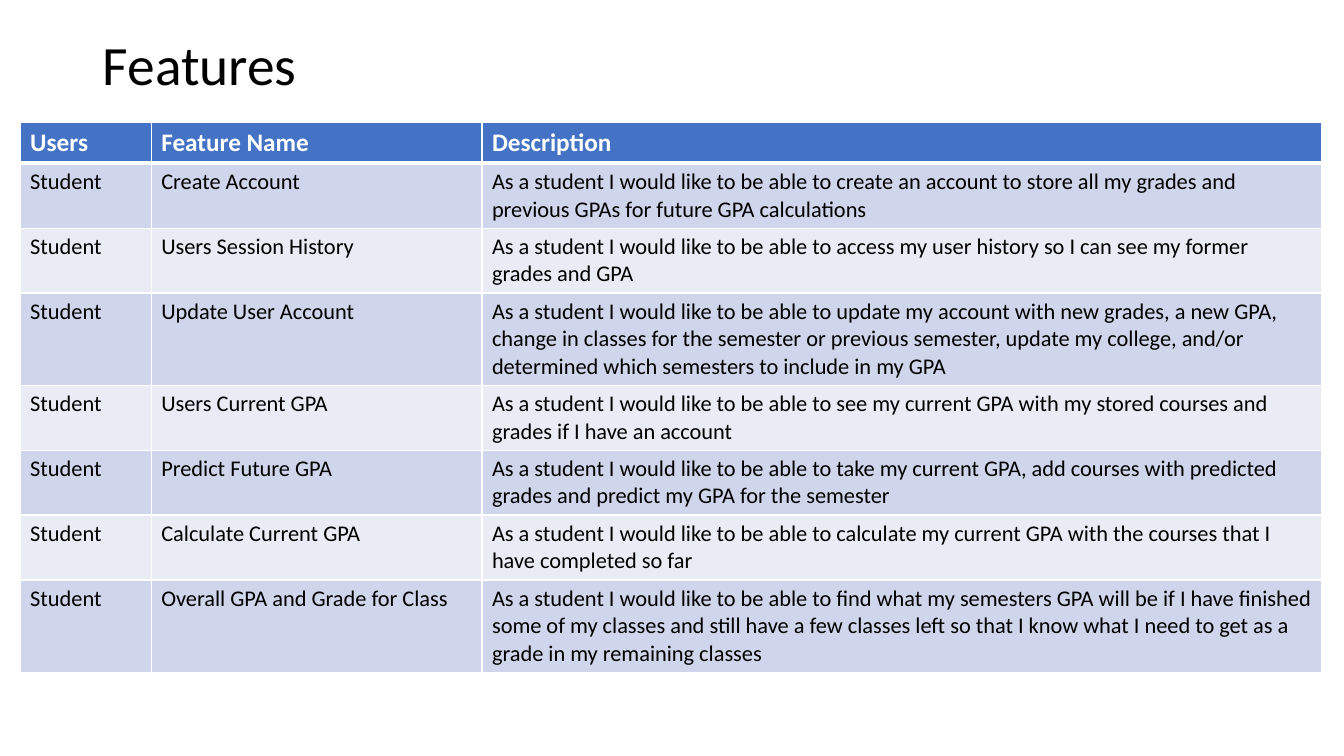
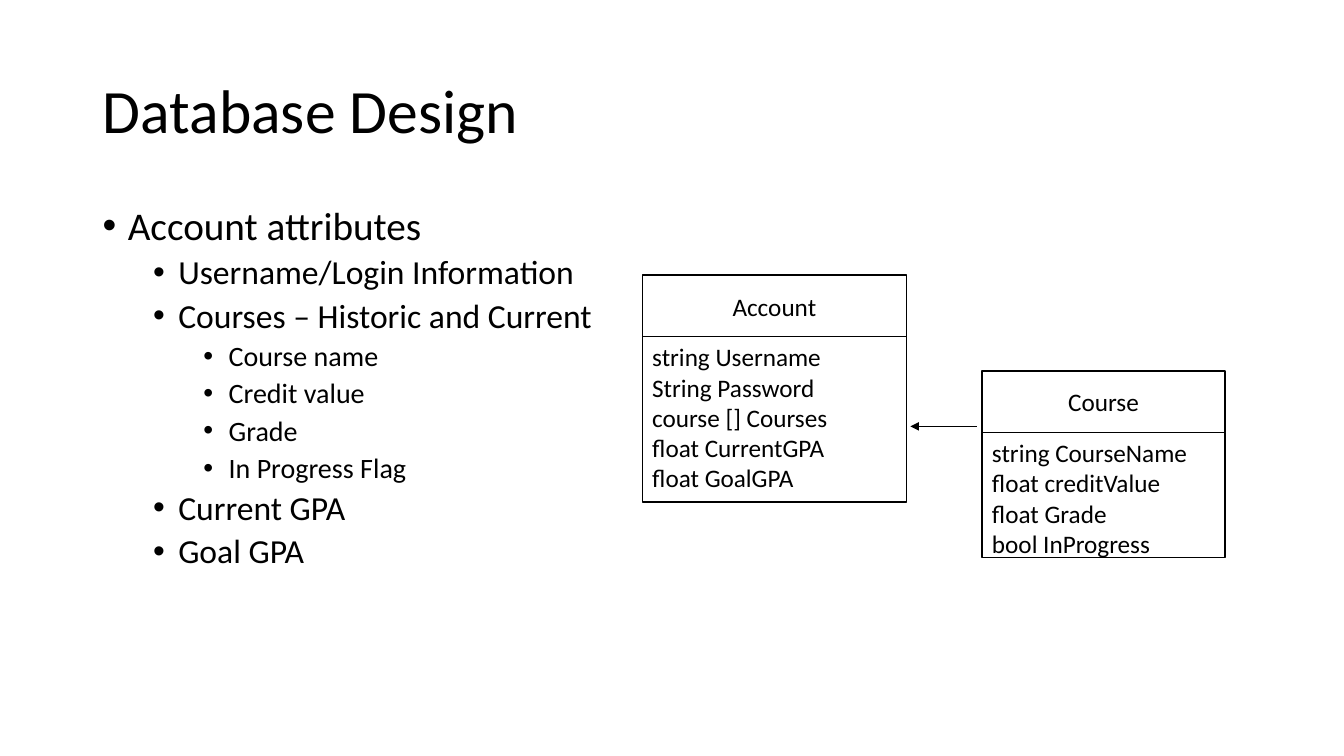
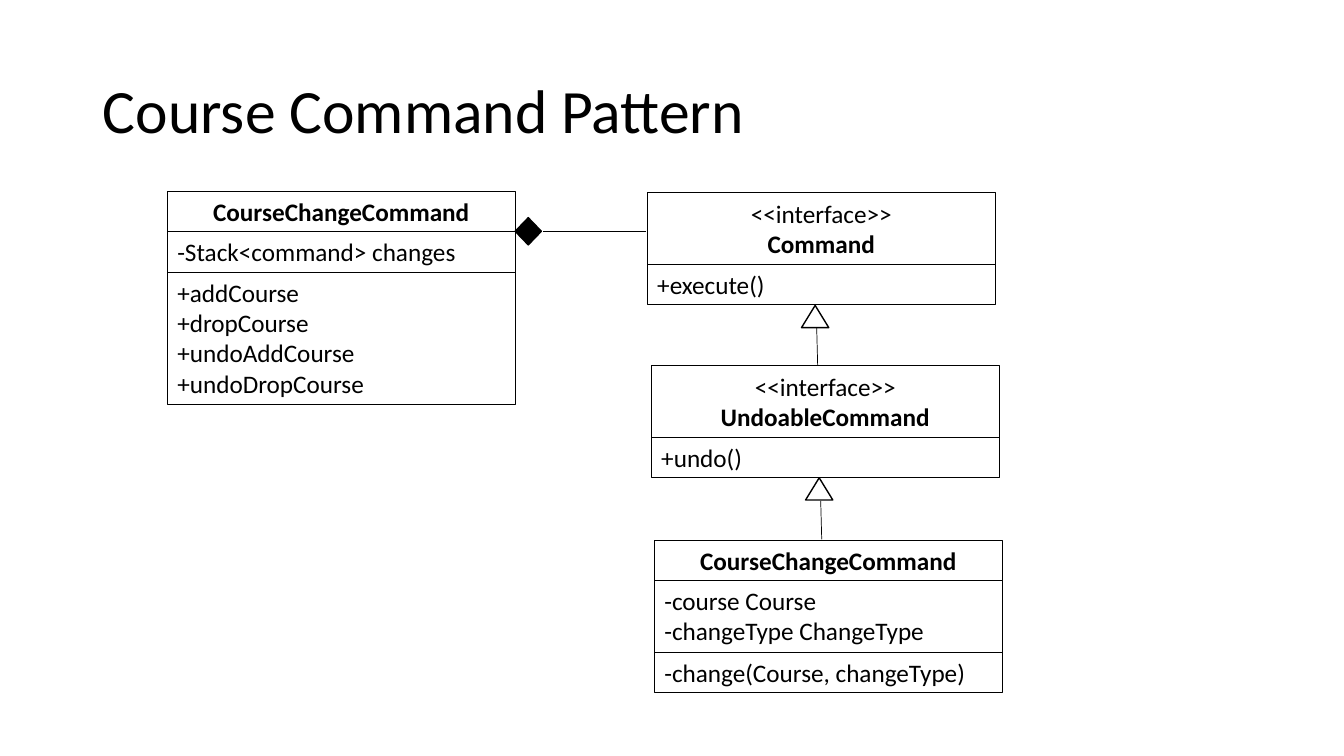
from lxml import etree
from pptx import Presentation
from pptx.dml.color import RGBColor
from pptx.enum.shapes import MSO_CONNECTOR, MSO_SHAPE
from pptx.enum.text import MSO_ANCHOR, MSO_AUTO_SIZE, PP_ALIGN
from pptx.oxml.ns import qn
from pptx.util import Pt

PX = 9144
FONT = "Calibri"
RECT = MSO_SHAPE.RECTANGLE
TRIANGLE = MSO_SHAPE.ISOSCELES_TRIANGLE
DIAMOND = MSO_SHAPE.DIAMOND
STRAIGHT = MSO_CONNECTOR.STRAIGHT
LEFT, CENTER = PP_ALIGN.LEFT, PP_ALIGN.CENTER
TOP, MIDDLE = MSO_ANCHOR.TOP, MSO_ANCHOR.MIDDLE
HEX = {"ink": "000000", "paper": "FFFFFF", "head": "4472C4", "odd": "CFD5EA", "even": "E9EBF5"}
COLOR = {name: RGBColor.from_string(code) for name, code in HEX.items()}


def add_class(slide, left, top, width, weight, parts, bold=False):
    for row, (height, lines) in enumerate(parts):
        box = slide.shapes.add_shape(RECT, left * PX, top * PX, width * PX, height * PX)
        box.shadow.inherit = False
        box.fill.background()
        box.line.color.rgb = COLOR["ink"]
        box.line.width = Pt(weight)
        frame = box.text_frame
        frame.word_wrap = True
        frame.vertical_anchor = TOP if row else MIDDLE
        for at, text in enumerate(lines):
            para = frame.add_paragraph() if at else frame.paragraphs[0]
            para.text = text
            para.alignment = LEFT if row else CENTER
            para.font.name = FONT
            para.font.size = Pt(18)
            para.font.color.rgb = COLOR["ink"]
            para.font.bold = bold and row == 0 and at == len(lines) - 1
        top += height


def add_line(slide, x1, y1, x2, y2, arrow=False):
    line = slide.shapes.add_connector(STRAIGHT, x1 * PX, y1 * PX, x2 * PX, y2 * PX)
    line.line.color.rgb = COLOR["ink"]
    line.line.width = Pt(0.5)
    if arrow:
        etree.SubElement(line.line._get_or_add_ln(), qn("a:tailEnd"), type="triangle")
    etree.SubElement(line._element.spPr, qn("a:effectLst"))


deck = Presentation()
deck.slide_width = 1333 * PX
deck.slide_height = 750 * PX

slides = []
for name, height, size in [
    ("Features", 54, 39.6),
    ("Database Design", 145, 44),
    ("Course Command Pattern", 145, 44),
]:
    slide = deck.slides.add_slide(deck.slide_layouts[5])
    title = slide.shapes.title
    title.left, title.top, title.width, title.height = 92 * PX, 40 * PX, 1150 * PX, height * PX
    frame = title.text_frame
    frame.text = name
    frame.auto_size = MSO_AUTO_SIZE.NONE
    frame.vertical_anchor = MIDDLE
    para = frame.paragraphs[0]
    para.alignment = LEFT
    para.line_spacing = 0.9
    para.font.name = FONT
    para.font.size = Pt(size)
    para.font.color.rgb = COLOR["ink"]
    slides.append(slide)
features, database, pattern = slides

wish = "As a student I would like to be able to "
rows = [("Users", "Feature Name", "Description")]
for name, goal in [
    ("Create Account", "create an account to store all my grades and previous GPAs for future GPA calculations"),
    ("Users Session History", "access my user history so I can see my former grades and GPA"),
    ("Update User Account", "update my account with new grades, a new GPA, change in classes for the semester "
     "or previous semester, update my college, and/or determined which semesters to include in my GPA"),
    ("Users Current GPA", "see my current GPA with my stored courses and grades if I have an account"),
    ("Predict Future GPA", "take my current GPA, add courses with predicted grades and predict my GPA "
     "for the semester"),
    ("Calculate Current GPA", "calculate my current GPA with the courses that I have completed so far"),
    ("Overall GPA and Grade for Class", "find what my semesters GPA will be if I have finished some of my "
     "classes and still have a few classes left so that I know what I need to get as a grade in my "
     "remaining classes"),
]:
    rows.append(("Student", name, wish + goal))

table = features.shapes.add_table(len(rows), 3, 20 * PX, 121 * PX, 1291 * PX, 328 * PX).table
for col, width in zip(table.columns, (130, 328, 833)):
    col.width = width * PX
for r, texts in enumerate(rows):
    table.rows[r].height = 41 * PX
    tone = "head" if r == 0 else "odd" if r % 2 else "even"
    for c, text in enumerate(texts):
        cell = table.cell(r, c)
        cell.text = text
        font = cell.text_frame.paragraphs[0].font
        font.name = FONT
        font.size = Pt(16 if r else 18)
        font.bold = r == 0
        font.color.rgb = COLOR["ink" if r else "paper"]
        props = cell._tc.get_or_add_tcPr()
        for side in "LRTB":
            thick = (r, side) in ((0, "B"), (1, "T"))
            edge = etree.SubElement(props, qn("a:ln" + side), w=str(Pt(3 if thick else 1)))
            fill = etree.SubElement(edge, qn("a:solidFill"))
            etree.SubElement(fill, qn("a:srgbClr"), val=HEX["paper"])
        cell.fill.solid()
        cell.fill.fore_color.rgb = COLOR[tone]

body = database.shapes.add_textbox(92 * PX, 200 * PX, 1150 * PX, 476 * PX).text_frame
body.word_wrap = True
for at, (level, text) in enumerate([
    (0, "Account attributes"),
    (1, "Username/Login Information"),
    (1, "Courses – Historic and Current"),
    (2, "Course name"),
    (2, "Credit value"),
    (2, "Grade"),
    (2, "In Progress Flag"),
    (1, "Current GPA"),
    (1, "Goal GPA"),
]):
    para = body.add_paragraph() if at else body.paragraphs[0]
    para.text = text
    para.level = level
    para.line_spacing = 0.9
    para.space_before = Pt(5 if level else 10)
    para.font.name = FONT
    para.font.size = Pt(28 - 4 * level)
    para.font.color.rgb = COLOR["ink"]
    props = para._p.get_or_add_pPr()
    props.set("marL", str((25 + 50 * level) * PX))
    props.set("indent", str(-25 * PX))
    bullet = etree.Element(qn("a:buChar"), char="•")
    face = etree.Element(qn("a:buFont"), typeface="Arial")
    spot = props.index(props.find(qn("a:spcBef"))) + 1
    props.insert(spot, bullet)
    props.insert(spot, face)

add_class(database, 637, 273, 262, 1, [
    (61, ["Account"]),
    (164, ["string Username", "String Password", "course [] Courses", "float CurrentGPA", "float GoalGPA"]),
])
add_class(database, 974, 368, 241, 1, [
    (61, ["Course"]),
    (124, ["string CourseName", "float creditValue", "float Grade", "bool InProgress"]),
])
add_line(database, 969, 423, 903, 423, arrow=True)

for left, top, parts in [
    (166, 190, [
        (40, ["CourseChangeCommand"]),
        (40, ["-Stack<command> changes"]),
        (131, ["+addCourse", "+dropCourse", "+undoAddCourse", "+undoDropCourse"]),
    ]),
    (642, 191, [(71, ["<<interface>>", "Command"]), (40, ["+execute()"])]),
    (646, 363, [(71, ["<<interface>>", "UndoableCommand"]), (40, ["+undo()"])]),
    (649, 536, [
        (40, ["CourseChangeCommand"]),
        (71, ["-course Course", "-changeType ChangeType"]),
        (40, ["-change(Course, changeType)"]),
    ]),
]:
    add_class(pattern, left, top, 345, 0.75, parts, bold=True)

for ends in [(539, 230, 641, 230), (810, 325, 811, 363), (814, 497, 815, 535)]:
    add_line(pattern, *ends)

for kind, left, top, width, height in [
    (DIAMOND, 511, 216, 26, 27),
    (TRIANGLE, 795, 303, 27, 22),
    (TRIANGLE, 799, 474, 27, 22),
]:
    mark = pattern.shapes.add_shape(kind, left * PX, top * PX, width * PX, height * PX)
    mark.shadow.inherit = False
    mark.line.color.rgb = COLOR["ink"]
    mark.line.width = Pt(1)
    if kind == DIAMOND:
        mark.fill.solid()
        mark.fill.fore_color.rgb = COLOR["ink"]
    else:
        mark.fill.background()

deck.save("out.pptx")
